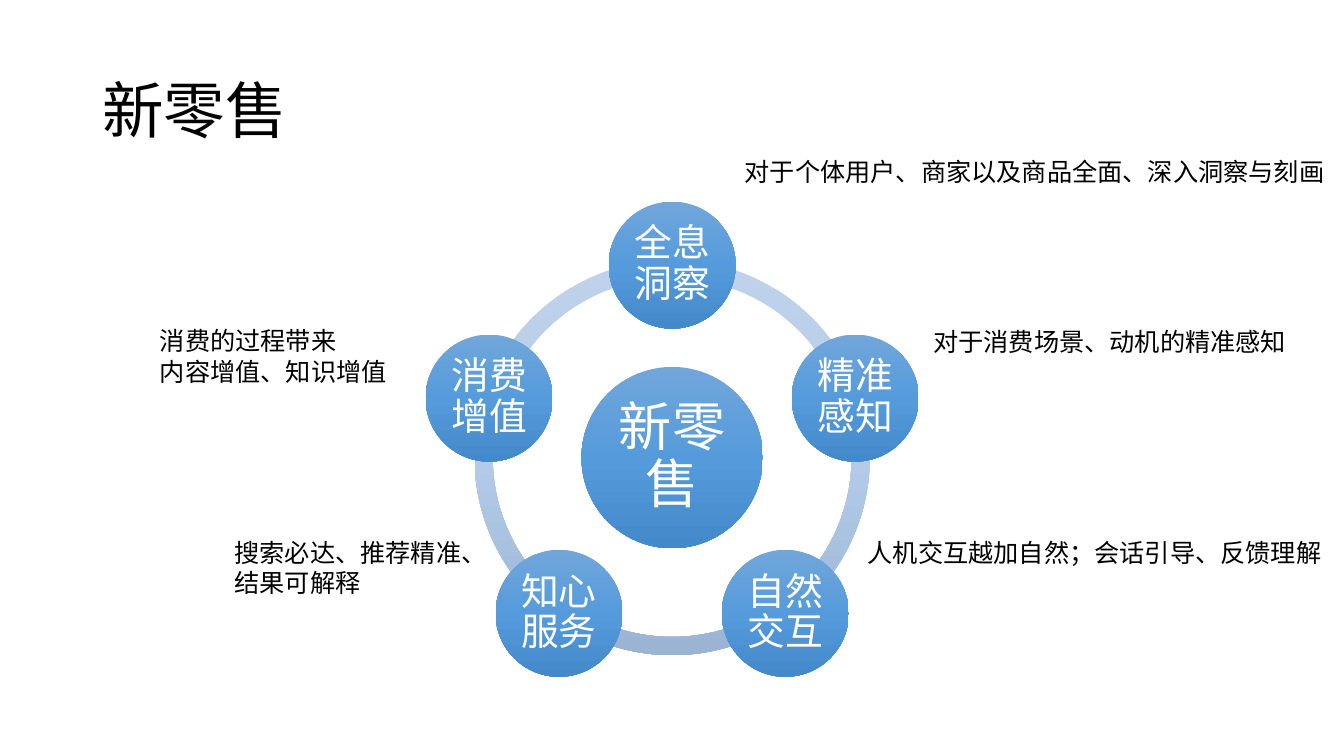
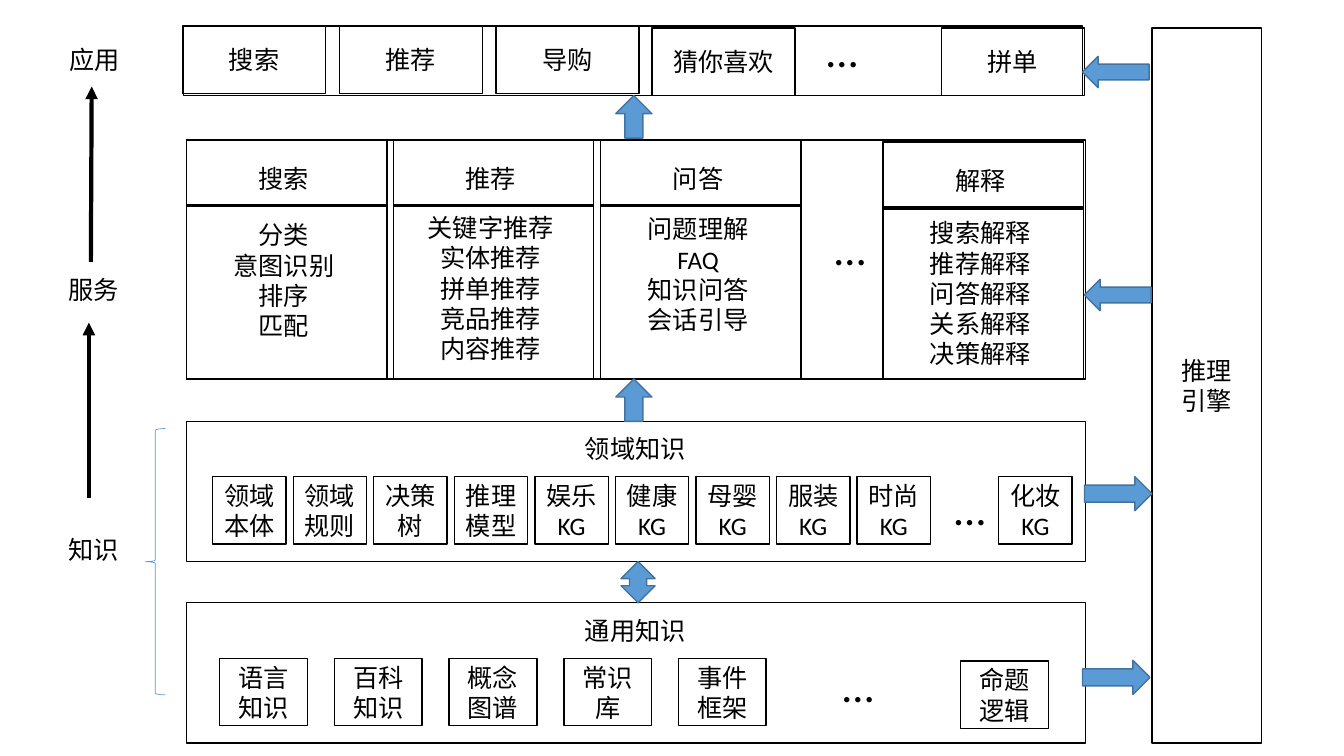
from copy import deepcopy
from math import cos, radians, sin

from pptx import Presentation
from pptx.dml.color import RGBColor
from pptx.enum.shapes import MSO_CONNECTOR, MSO_SHAPE
from pptx.enum.text import MSO_ANCHOR, PP_ALIGN
from pptx.oxml.ns import qn
from pptx.util import Cm, Pt
from lxml.etree import SubElement

BLACK, WHITE = "000000", "FFFFFF"
BLUE, DARK_BLUE = "5B9BD5", "43739E"
RING_GRADIENT = ("C0D2EB", "B3CBE9", "9BB4D3")
DISC_GRADIENT = ("71A6DB", "559BDB", "448ACA")
CENTRED = {"alignment": PP_ALIGN.CENTER}
TIGHT = {"line_spacing": 0.9}


def rgb(color):
    return RGBColor.from_string(color)


def apply(target, values):
    """Set each attribute named in the dict."""
    for name, value in values.items():
        setattr(target, name, value)


class Deck:
    font_name = "Calibri"
    body_size = 18

    def __init__(self):
        self.presentation = Presentation()
        apply(self.presentation, {"slide_width": Cm(33.87), "slide_height": Cm(19.05)})
        self.slide = None

    def new_slide(self):
        self.slide = self.presentation.slides.add_slide(self.presentation.slide_layouts[6])

    def set_text(self, shape, text, size=None, color=BLACK, layout=CENTRED, **frame_format):
        frame = shape.text_frame
        apply(frame, {"word_wrap": True, **frame_format})
        frame.text = text
        for paragraph in frame.paragraphs:
            apply(paragraph, layout)
            apply(paragraph.font, {"name": self.font_name, "size": Pt(size or self.body_size)})
            paragraph.font.color.rgb = rgb(color)

    def text(self, text, left, top, width, height=1.03, **style):
        box = self.slide.shapes.add_textbox(Cm(left), Cm(top), Cm(width), Cm(height))
        self.set_text(box, text, **style)

    def title(self, text):
        self.text(text, 2.33, 1.01, 29.21, 3.68, size=44, layout=TIGHT,
                  vertical_anchor=MSO_ANCHOR.MIDDLE)

    def ellipsis(self, left, top):
        self.text("…", left, top, 2.21, 1.7, size=32, vertical_anchor=MSO_ANCHOR.MIDDLE)

    def shape(self, kind, left, top, width, height, fill=None, line=None, line_width=1):
        shape = self.slide.shapes.add_shape(kind, Cm(left), Cm(top), Cm(width), Cm(height))
        shape.shadow.inherit = False
        if fill:
            shape.fill.solid()
            shape.fill.fore_color.rgb = rgb(fill)
        else:
            shape.fill.background()
        if line:
            shape.line.color.rgb = rgb(line)
            shape.line.width = Pt(line_width)
        else:
            shape.line.fill.background()
        return shape

    def gradient_shape(self, kind, center, diameter, colors):
        """Add a square-framed shape filled with three colours from top to bottom."""
        x, y = center
        shape = self.shape(kind, x - diameter / 2, y - diameter / 2, diameter, diameter)
        shape.fill.gradient()
        shape.fill.gradient_angle = 270
        stops = shape._element.spPr.find(".//" + qn("a:gsLst"))
        stops.append(deepcopy(stops[0]))
        for stop, position, color in zip(shape.fill.gradient_stops, (0, 0.5, 1), colors):
            stop.position = position
            stop.color.rgb = rgb(color)
        return shape

    def disc(self, text, center, diameter, size):
        disc = self.gradient_shape(MSO_SHAPE.OVAL, center, diameter, DISC_GRADIENT)
        sides = ("left", "top", "right", "bottom")
        margins = {f"margin_{side}": Cm(0.1) for side in sides}
        self.set_text(disc, text, size, WHITE, {**CENTRED, **TIGHT},
                      vertical_anchor=MSO_ANCHOR.MIDDLE, **margins)

    def box(self, left, top, width, height, text=""):
        box = self.shape(MSO_SHAPE.RECTANGLE, left, top, width, height, line=BLACK)
        if text:
            self.set_text(box, text, vertical_anchor=MSO_ANCHOR.MIDDLE)

    def box_row(self, texts, left, top, pitch, width):
        for index, text in enumerate(texts):
            self.box(left + index * pitch, top, width, 1.7, text)

    def block_arrow(self, kind, left, top, width, height):
        self.shape(kind, left, top, width, height, BLUE, DARK_BLUE)

    def line(self, start, end, width, arrow=False):
        connector = self.slide.shapes.add_connector(
            MSO_CONNECTOR.STRAIGHT, *(Cm(length) for length in start + end))
        connector.line.color.rgb = rgb(BLACK)
        connector.line.width = Pt(width)
        if arrow:
            SubElement(connector.line._get_or_add_ln(), qn("a:tailEnd"), type="triangle")
        SubElement(connector._element.spPr, qn("a:effectLst"))

    def card(self, heading, items, left, top, body_top):
        """Add a box with a heading, a divider and a list."""
        width, bottom = 5.05, 9.56
        self.box(left, top, width, bottom - top)
        self.text(heading, left + 0.36, top + 0.47, 4.19)
        self.text("\n".join(items), left + 0.36, body_top, 4.19, 4.1)
        self.line((left, top + 1.66), (left + width, top + 1.66), 2.25)


def add_retail_cycle(deck):
    deck.new_slide()
    deck.title("新零售")
    center, orbit, step = (16.94, 11.53), 4.85, 72
    topics = ("全息洞察", "精准感知", "自然交互", "知心服务", "消费增值")
    angles = [(270 + index * step) % 360 for index in range(len(topics))]
    for angle in angles:
        arc = deck.gradient_shape(MSO_SHAPE.BLOCK_ARC, center, 9.96, RING_GRADIENT)
        # Angle adjustments count 0.6 per degree.
        for index, value in enumerate((angle * 0.6, (angle + step) % 360 * 0.6, 0.046)):
            arc.adjustments[index] = value
    deck.disc("新零售", center, 4.57, 38)
    for topic, angle in zip(topics, angles):
        x = center[0] + orbit * cos(radians(angle))
        y = center[1] + orbit * sin(radians(angle))
        deck.disc(topic, (x, y), 3.2, 27)

    for text, left, top, width, wrap in (
        ("对于个体用户、商家以及商品全面、深入洞察与刻画", 18.52, 3.81, 15.27, False),
        ("对于消费场景、动机的精准感知", 23.27, 8.1, 9.5, False),
        ("人机交互越加自然；会话引导、反馈理解", 21.62, 13.41, 12.07, False),
        ("消费的过程带来\n内容增值、知识增值", 3.78, 8.08, 8.61, True),
        ("搜索必达、推荐精准、\n结果可解释", 5.66, 13.41, 8.61, True),
    ):
        deck.text(text, left, top, width, layout={}, word_wrap=wrap)


def add_architecture(deck):
    deck.new_slide()
    for left, top, height in ((4.62, 0.66, 1.75), (4.7, 3.53, 6.02),
                              (4.7, 10.62, 3.53), (4.7, 15.19, 3.53)):
        deck.box(left, top, 22.66, height)

    deck.box_row(("搜索", "推荐", "导购"), 4.6, 0.66, 3.95, 3.61)
    deck.box_row(("猜你喜欢", "拼单"), 16.43, 0.71, 7.29, 3.61)

    for card in (
        ("搜索", ("分类", "意图识别", "排序", "匹配"), 4.7, 3.51, 5.41),
        ("推荐", ("关键字推荐", "实体推荐", "拼单推荐", "竞品推荐", "内容推荐"), 9.91, 3.51, 5.23),
        ("问答", ("问题理解", "FAQ", "知识问答", "会话引导"), 15.14, 3.51, 5.26),
        ("解释", ("搜索解释", "推荐解释", "问答解释", "关系解释", "决策解释"), 22.25, 3.58, 5.36),
    ):
        deck.card(*card)

    deck.text("领域知识", 12.95, 10.8, 6.12)
    domains = ("领域本体", "领域规则", "决策\n树", "推理\n模型", "娱乐KG",
               "健康KG", "母婴KG", "服装KG", "时尚KG")
    deck.box_row(domains, 5.36, 12.01, 2.03, 1.85)
    deck.box(25.17, 12.01, 1.85, 1.7, "化妆KG")

    deck.text("通用知识", 12.95, 15.39, 6.12)
    general = ("语言知识", "百科知识", "概念图谱", "常识库", "事件框架")
    deck.box_row(general, 5.54, 16.59, 2.89, 2.21)
    deck.box(24.21, 16.66, 2.21, 1.7, "命题逻辑")

    for position in ((20.12, 0.41), (20.32, 5.38), (23.34, 11.94), (20.52, 16.41)):
        deck.ellipsis(*position)

    deck.box(29.03, 0.71, 2.77, 18.01, "推理\n引擎")
    for kind, left, top, width, height in (
        (MSO_SHAPE.UP_DOWN_ARROW, 15.65, 14.15, 0.86, 1.04),
        (MSO_SHAPE.UP_ARROW, 15.52, 9.55, 0.91, 1.07),
        (MSO_SHAPE.UP_ARROW, 15.52, 2.41, 0.91, 1.07),
        (MSO_SHAPE.LEFT_ARROW, 27.33, 7.04, 1.68, 0.79),
        (MSO_SHAPE.LEFT_ARROW, 27.28, 1.42, 1.68, 0.79),
        (MSO_SHAPE.RIGHT_ARROW, 27.33, 12.01, 1.7, 0.86),
        (MSO_SHAPE.RIGHT_ARROW, 27.28, 16.64, 1.7, 0.86),
    ):
        deck.block_arrow(kind, left, top, width, height)

    for layer, left, top in (("应用", 1.09, 0.99), ("服务", 1.07, 6.78), ("知识", 1.07, 13.34)):
        deck.text(layer, left, top, 2.57)
    deck.line((2.24, 12.55), (2.24, 8.13), 3, arrow=True)
    deck.line((2.29, 6.6), (2.31, 2.18), 3, arrow=True)
    deck.shape(MSO_SHAPE.LEFT_BRACE, 3.66, 10.8, 0.51, 6.71, line=BLUE, line_width=0.5)


def main():
    deck = Deck()
    add_retail_cycle(deck)
    add_architecture(deck)
    deck.presentation.save("out.pptx")


if __name__ == "__main__":
    main()
